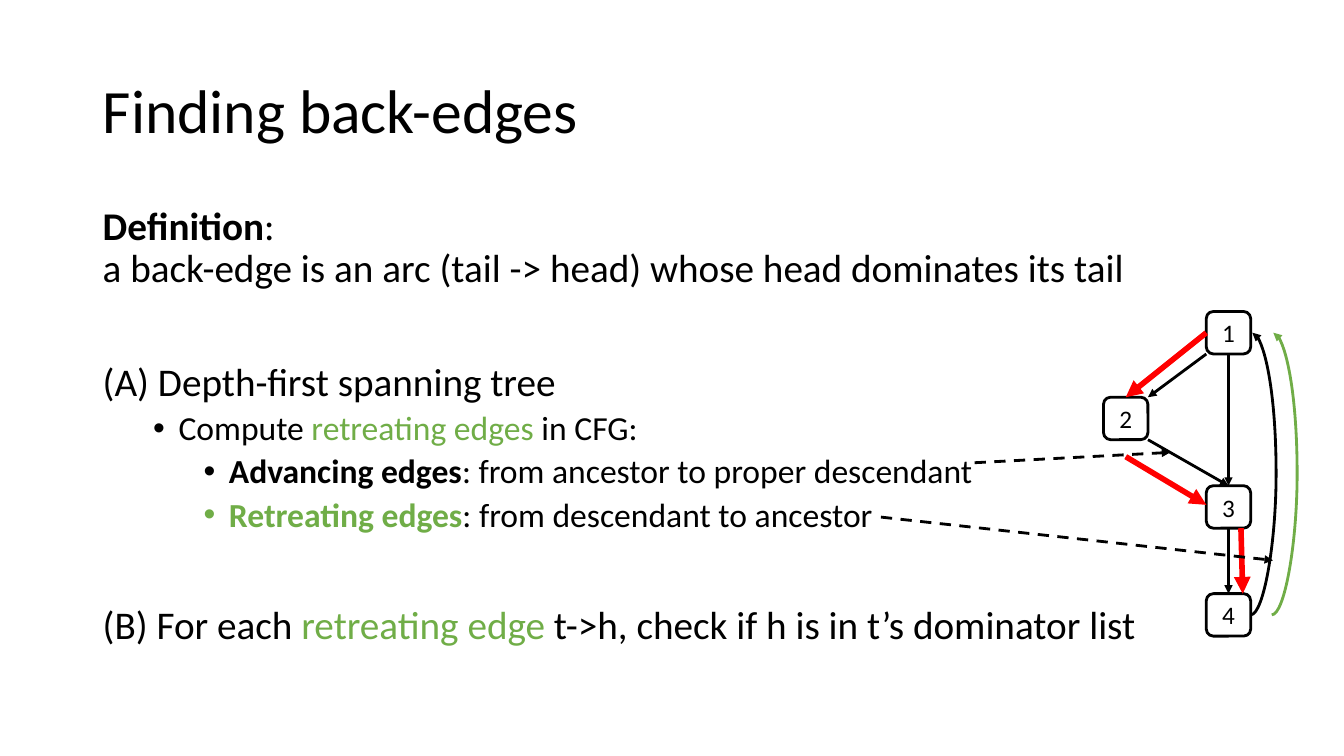
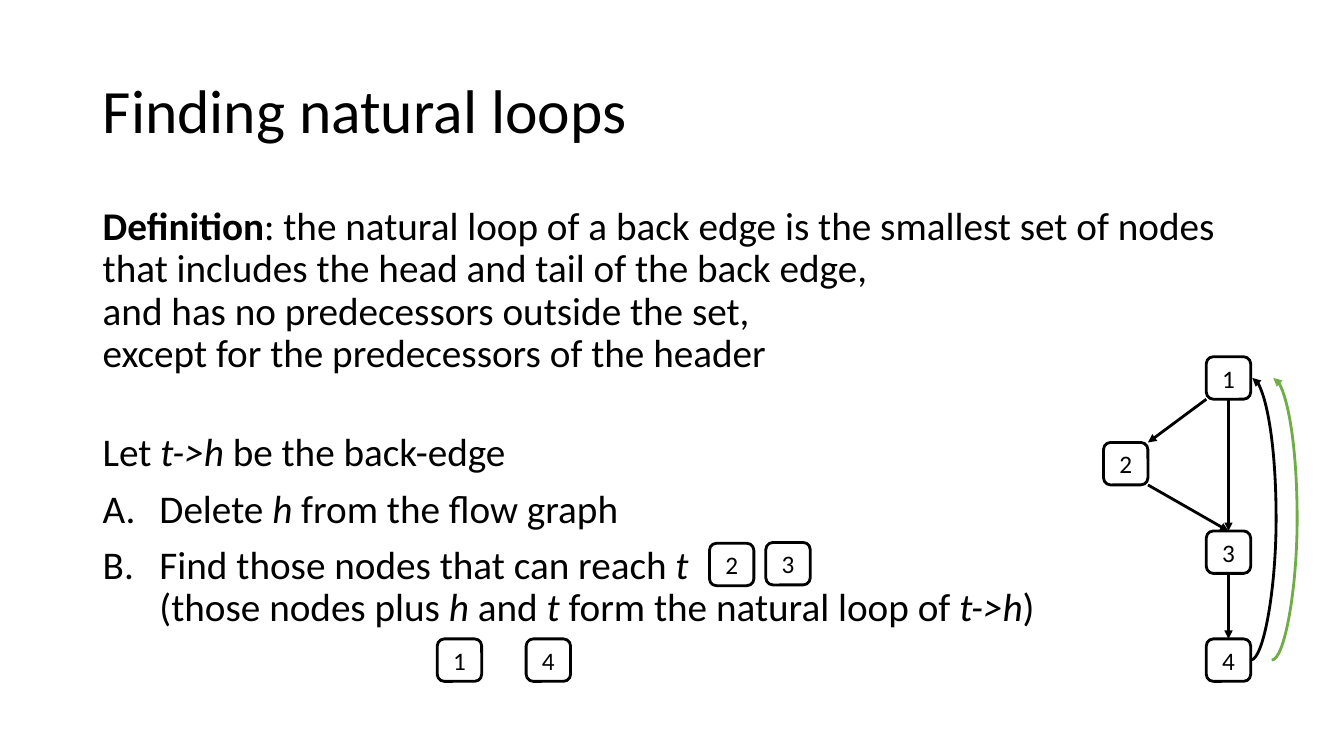
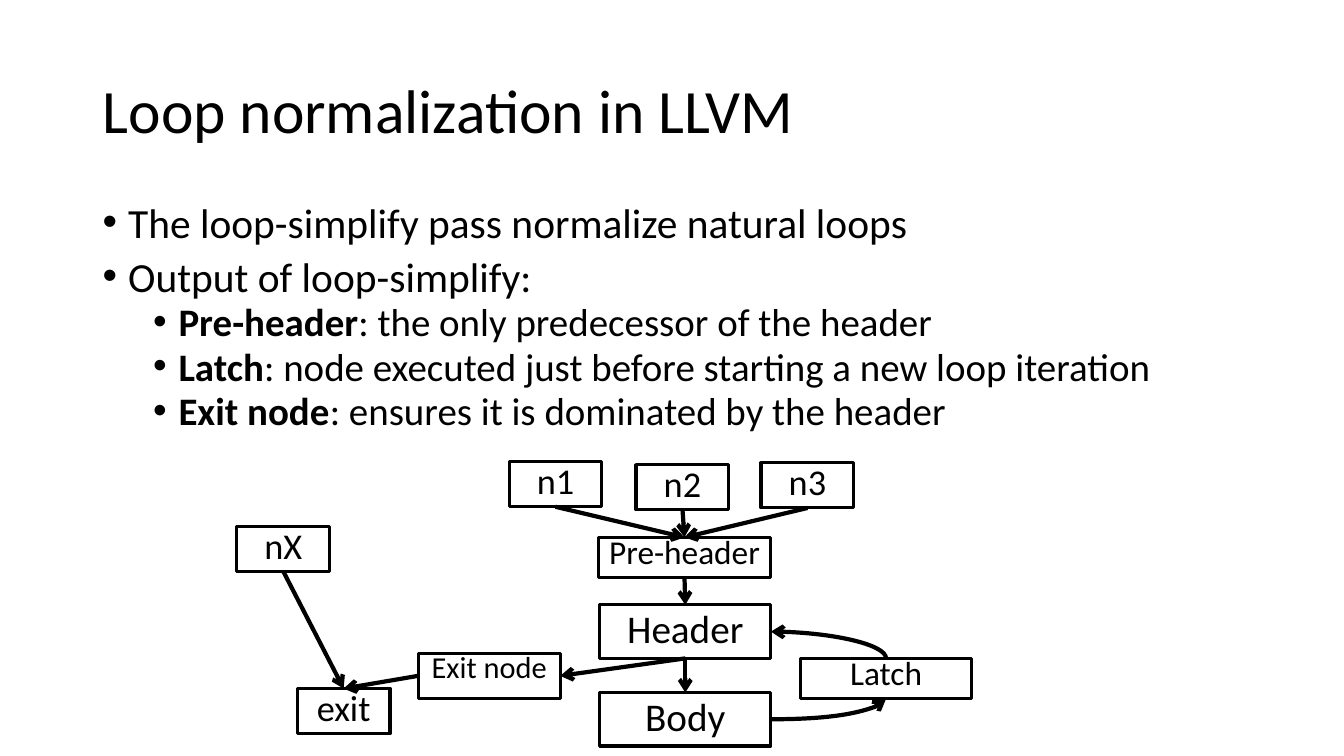
from dataclasses import dataclass

from lxml.etree import SubElement
from pptx import Presentation
from pptx.dml.color import RGBColor
from pptx.enum.dml import MSO_LINE
from pptx.enum.shapes import MSO_CONNECTOR as Route, MSO_SHAPE as Preset
from pptx.enum.text import MSO_ANCHOR as Anchor, PP_ALIGN as Align
from pptx.oxml.ns import qn
from pptx.util import Cm, Pt

COLOURS = {"ink": "000000", "retreat": "70AD47", "tree": "FF0000"}
FONT = "Calibri"
NODE_W, NODE_H = 1.12, 1.07
BULGE = 0.64
SKIPPED_LINE = 50.8  # points before a paragraph that follows one empty line


def rgb(name):
    return RGBColor.from_string(COLOURS[name])


@dataclass
class Box:
    left: float
    top: float
    width: float
    height: float

    def at(self, fx, fy):
        """Point at the given fractions of the width and height."""
        return self.left + fx * self.width, self.top + fy * self.height


@dataclass
class Item:
    """One paragraph; each run is a text or (text, flags): b bold, i italic, g green."""
    runs: list
    size: float = 28
    before: float = 10
    margin: float = 0
    hang: float = 0
    bullet: str = ""


class Deck:
    def __init__(self):
        self.prs = Presentation()
        self.prs.slide_width, self.prs.slide_height = Cm(33.87), Cm(19.05)
        self.slide = None

    def new_slide(self, title):
        self.slide = self.prs.slides.add_slide(self.prs.slide_layouts[6])
        self.text(Box(2.34, 1.02, 29.21, 3.68), [Item([title], 44, 0)], anchor=Anchor.MIDDLE)

    def text(self, box, items, spacing=0.9, anchor=Anchor.TOP):
        frame = self.slide.shapes.add_textbox(
            Cm(box.left), Cm(box.top), Cm(box.width), Cm(box.height)).text_frame
        frame.word_wrap = True
        frame.vertical_anchor = anchor
        for index, item in enumerate(items):
            para = frame.add_paragraph() if index else frame.paragraphs[0]
            para.line_spacing = spacing
            para.space_before = Pt(item.before)
            self.bullet(para, item)
            for run in item.runs:
                words, flags = (run, "") if isinstance(run, str) else run
                self.run(para, words, item.size, flags)

    def bullet(self, para, item):
        if not item.bullet:
            return
        props = para._p.get_or_add_pPr()
        props.set("marL", str(Cm(item.margin)))
        props.set("indent", str(-Cm(item.hang)))
        if item.bullet == "A.":
            SubElement(props, qn("a:buFont")).set("typeface", "+mj-lt")
            SubElement(props, qn("a:buAutoNum")).set("type", "alphaUcPeriod")
        else:
            SubElement(props, qn("a:buFont")).set("typeface", "Arial")
            SubElement(props, qn("a:buChar")).set("char", item.bullet)

    def run(self, para, words, size, flags=""):
        for index, piece in enumerate(words.split("\n")):
            if index:
                para.add_line_break()
            if piece:
                run = para.add_run()
                run.text = piece
                run.font.name, run.font.size = FONT, Pt(size)
                run.font.bold, run.font.italic = "b" in flags, "i" in flags
                run.font.color.rgb = rgb("retreat" if "g" in flags else "ink")

    def box(self, label, box, size, preset=Preset.RECTANGLE, weight=2.25,
            spacing=1.0, anchor=Anchor.TOP):
        shape = self.slide.shapes.add_shape(
            preset, Cm(box.left), Cm(box.top), Cm(box.width), Cm(box.height))
        shape.shadow.inherit = False
        shape.fill.background()
        shape.line.color.rgb, shape.line.width = rgb("ink"), Pt(weight)
        frame = shape.text_frame
        frame.word_wrap = True
        frame.margin_left = frame.margin_right = 0
        frame.vertical_anchor = anchor
        para = frame.paragraphs[0]
        para.alignment, para.line_spacing = Align.CENTER, spacing
        self.run(para, label, size)
        return box

    def node(self, label, left, top):
        return self.box(label, Box(left, top, NODE_W, NODE_H), 18,
                        Preset.ROUNDED_RECTANGLE, 2, anchor=Anchor.MIDDLE)

    def arrow(self, start, end, colour="ink", weight=2, head="triangle",
              route=Route.STRAIGHT, dashed=False, head_at="a:tailEnd"):
        """Draw a connector and return its geometry element."""
        line = self.slide.shapes.add_connector(
            route, *(Cm(value) for value in (*start, *end)))
        line.line.color.rgb, line.line.width = rgb(colour), Pt(weight)
        if dashed:
            line.line.dash_style = MSO_LINE.DASH
        props = line.element.spPr
        SubElement(props.find(qn("a:ln")), qn(head_at)).set("type", head)
        SubElement(props, qn("a:effectLst"))
        return props.find(qn("a:prstGeom"))

    def return_edge(self, tail, head, shift=0.0, colour="ink"):
        """Curve that bulges to the right, from a lower node back to an upper one."""
        (x, low), (_, high) = tail.at(1, 0.5), head.at(1, 0.5)
        step = 0.04
        geometry = self.arrow((x + shift, low), (x + shift + step, high), colour,
                              route=Route.CURVE)
        guides = geometry.find(qn("a:avLst"))
        if guides is None:
            guides = SubElement(geometry, qn("a:avLst"))
        guide = SubElement(guides, qn("a:gd"))
        guide.set("name", "adj1")
        guide.set("fmla", f"val {round(BULGE / step * 100000)}")

    def quarter_turn(self, start, end, head_at="a:tailEnd"):
        """Curve that leaves start sideways and meets end vertically."""
        self.arrow(start, end, weight=3, head="arrow", route=Route.CURVE,
                   head_at=head_at).set("prst", "curvedConnector2")

    def flow_graph(self, top):
        places = {"1": (30.4, 0), "2": (27.81, 2.16), "3": (30.4, 4.39), "4": (30.4, 7.11)}
        nodes = [self.node(label, left, top + drop) for label, (left, drop) in places.items()]
        one, two, three, four = nodes
        self.arrow(one.at(0, 1), two.at(1, 0))
        self.arrow(two.at(1, 1), three.at(0.5, 0))
        self.arrow(one.at(0.5, 1), three.at(0.5, 0))
        self.arrow(three.at(0.5, 1), four.at(0.5, 0))
        self.return_edge(four, one)
        self.return_edge(four, one, 0.53, "retreat")
        return nodes


BODY = Box(2.34, 5.08, 29.21, 12.09)


def bulleted(level, runs, size):
    return Item(runs, size, 5 if level else 10, 0.64 + 1.27 * level, 0.64, "•")


def lettered(*runs):
    return Item(runs, margin=1.43, hang=1.43, bullet="A.")


def back_edges(deck):
    deck.new_slide("Finding back-edges")
    deck.text(BODY, [
        Item([("Definition", "b"),
              ":\na back-edge is an arc (tail -> head) whose head dominates its tail"]),
        Item(["(A) Depth-first spanning tree"], before=SKIPPED_LINE),
        bulleted(1, ["Compute ", ("retreating edges ", "g"), "in CFG:"], 24),
        bulleted(2, [("Advancing edges", "b"), ": from ancestor to proper descendant"], 24),
        bulleted(2, [("Retreating edges", "bg"), ": from descendant to ancestor"], 24),
        Item(["(B) For each ", ("retreating edge ", "g"),
              "t->h, check if h is in t’s dominator list"], before=SKIPPED_LINE),
    ])
    one, two, three, four = deck.flow_graph(7.85)
    tree_edges = [(one.at(0, 0.5), two.at(0.5, 0)),
                  (two.at(0.5, 1.4), three.at(0, 0.45)),
                  (three.at(0.78, 1), four.at(0.82, 0))]
    for start, end in tree_edges:
        deck.arrow(start, end, "tree", 4)
    deck.arrow((24.56, 11.66), (29.49, 11.4), dashed=True)
    deck.arrow((22.2, 13.03), (32.08, 14.12), dashed=True)


def natural_loops(deck):
    deck.new_slide("Finding natural loops")
    deck.text(BODY, [
        Item([("Definition", "b"),
              ": the natural loop of a back edge is the smallest set of nodes\n"
              "that includes the head and tail of the back edge,\n"
              "and has no predecessors outside the set,\n"
              "except for the predecessors of the header"]),
        Item(["Let ", ("t->h ", "i"), "be the back-edge"], before=40.8),
        lettered("Delete ", ("h", "i"), " from the flow graph"),
        lettered("Find those nodes that can reach ", ("t\n", "i"), "(those nodes plus ",
                 ("h ", "i"), "and", (" t ", "i"), "form the natural loop of ",
                 ("t->h", "i"), ")"),
    ])
    deck.flow_graph(8.99)
    for label, left, top in [("2", 17.88, 13.69), ("3", 19.3, 13.67),
                             ("4", 13.26, 16.1), ("1", 11.02, 16.1)]:
        deck.node(label, left, top)


def loop_normalization(deck):
    deck.new_slide("Loop normalization in LLVM")
    outputs = {"Pre-header": "the only predecessor of the header",
               "Latch": "node executed just before starting a new loop iteration",
               "Exit node": "ensures it is dominated by the header"}
    deck.text(Box(2.34, 5.08, 29.21, 6.17), [
        bulleted(0, ["The loop-simplify pass normalize natural loops"], 29.6),
        bulleted(0, ["Output of loop-simplify:"], 29.6),
        *(bulleted(1, [(term, "b"), f": {meaning}"], 27.8)
          for term, meaning in outputs.items()),
    ], spacing=0.8)

    # width, height, text size, line spacing
    kinds = {"outer": (2.34, 1.14, 25.9, 0.8), "loop": (4.32, 1.35, 28, 0.9),
             "added": (4.32, 1.02, 23.8, 0.7), "exit": (3.58, 1.14, 21.7, 0.7)}
    blocks = {}
    for label, kind, left, top in [
            ("n1", "outer", 12.83, 11.63), ("n2", "outer", 16.03, 11.71),
            ("n3", "outer", 19.18, 11.66), ("nX", "outer", 5.97, 13.26),
            ("exit", "outer", 7.49, 17.35), ("Pre-header", "added", 15.09, 13.54),
            ("Header", "loop", 15.11, 15.24), ("Body", "loop", 15.11, 17.45),
            ("Latch", "added", 20.17, 16.59), ("Exit node", "exit", 10.54, 16.46)]:
        width, height, size, spacing = kinds[kind]
        blocks[label] = deck.box(label, Box(left, top, width, height), size, spacing=spacing)

    for source, target in [("n1", "Pre-header"), ("n2", "Pre-header"), ("n3", "Pre-header"),
                           ("Pre-header", "Header"), ("Header", "Body"), ("nX", "exit")]:
        deck.arrow(blocks[source].at(0.5, 1), blocks[target].at(0.5, 0),
                   weight=3, head="arrow")
    header, latch, leaving = blocks["Header"], blocks["Latch"], blocks["Exit node"]
    deck.arrow(header.at(0.5, 1), leaving.at(1, 0.5), weight=3, head="arrow")
    deck.arrow(leaving.at(0, 0.5), blocks["exit"].at(0.5, 0), weight=3, head="arrow")
    deck.quarter_turn(blocks["Body"].at(1, 0.5), latch.at(0.5, 1))
    deck.quarter_turn(header.at(1, 0.5), latch.at(0.5, 0), head_at="a:headEnd")


def main():
    deck = Deck()
    back_edges(deck)
    natural_loops(deck)
    loop_normalization(deck)
    deck.prs.save("out.pptx")


if __name__ == "__main__":
    main()
